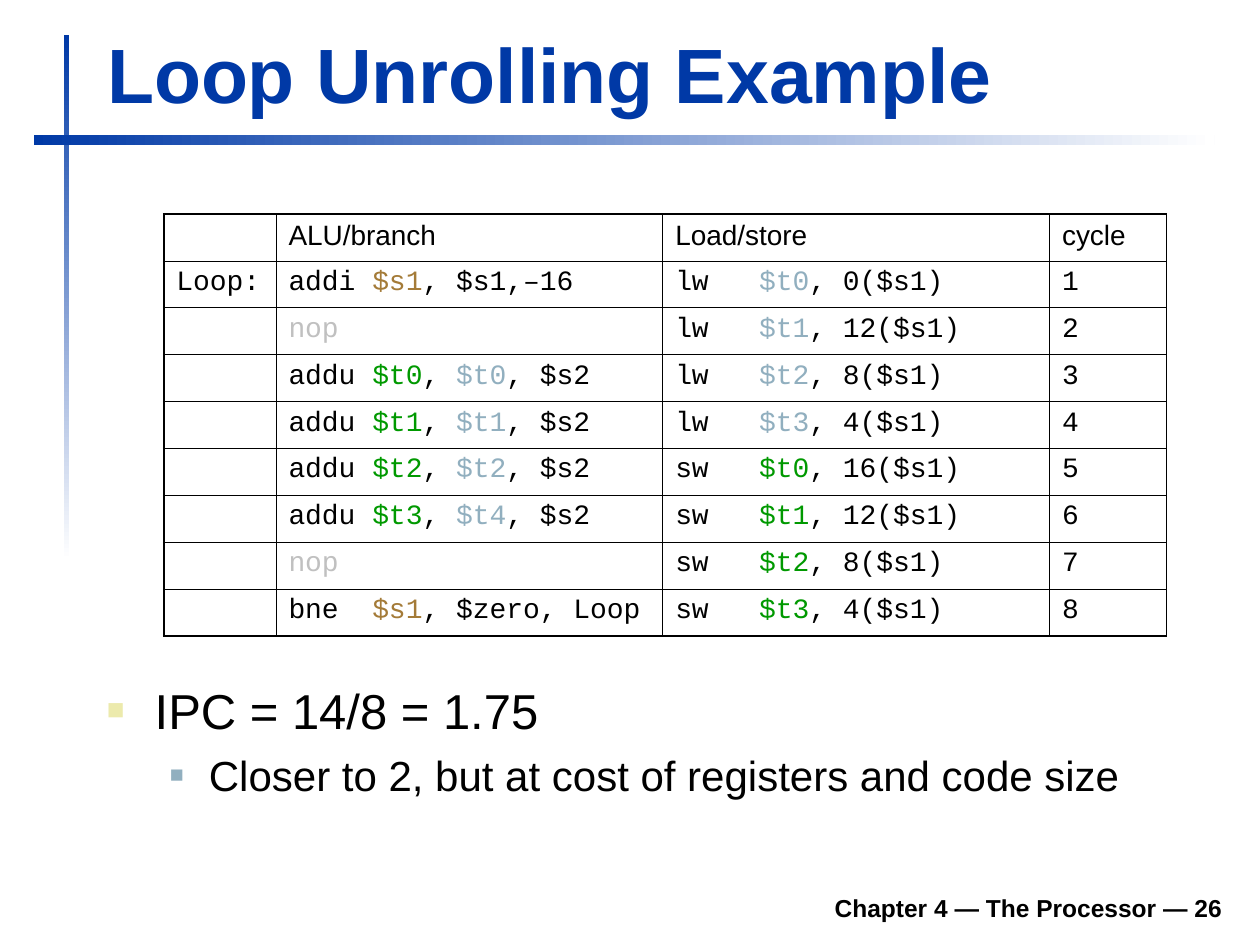
from lxml import etree
from pptx import Presentation
from pptx.dml.color import RGBColor
from pptx.enum.shapes import MSO_SHAPE
from pptx.enum.text import MSO_ANCHOR, MSO_AUTO_SIZE, PP_ALIGN
from pptx.oxml.ns import qn
from pptx.util import Inches, Pt

RECT = MSO_SHAPE.RECTANGLE
LEFT, RIGHT = PP_ALIGN.LEFT, PP_ALIGN.RIGHT
TOP, BASE = MSO_ANCHOR.TOP, MSO_ANCHOR.BOTTOM
FIXED = MSO_AUTO_SIZE.NONE

WIDE, HIGH = Inches(10), Inches(7.5)
SANS, MONO = "Arial", "Courier New"
INK, NAVY, WHITE = "000000", "0039A6", "FFFFFF"
TAN, BLUE, GREEN, GREY = "A47B38", "91AFBF", "009900", "C0C0C0"
CREAM = "ECEAAC"
COLS = [8.9, 30.7, 30.7, 9.3]
ROW = 4.93
OUTER, HEAD, INNER = 1.08, 0.75, 0.45


def tint(code):
    return RGBColor.from_string(code)


def area(left, top, width, height):
    return (int(WIDE * left / 100), int(HIGH * top / 100),
            int(WIDE * width / 100), int(HIGH * height / 100))


def write(par, text, size=16, font=SANS, color=INK, bold=False, align=LEFT):
    par.alignment = align
    runs = [(text, color)] if isinstance(text, str) else text
    for words, hue in runs:
        run = par.add_run()
        run.text = words
        run.font.size = Pt(size)
        run.font.name = font
        run.font.bold = bold
        run.font.color.rgb = tint(hue)


def setup(frame, anchor=TOP):
    frame.word_wrap = True
    frame.auto_size = FIXED
    frame.vertical_anchor = anchor
    return frame.paragraphs[0]


def panel(slide, *place):
    return slide.shapes.add_textbox(*area(*place)).text_frame


def fade(slide, angle, *place):
    bar = slide.shapes.add_shape(RECT, *area(*place))
    bar.shadow.inherit = False
    bar.line.fill.background()
    bar.fill.gradient()
    bar.fill.gradient_angle = angle
    for stop, hue in zip(bar.fill.gradient_stops, (NAVY, WHITE)):
        stop.color.rgb = tint(hue)


def bullet(par, color, share, left, hang):
    props = par._p.get_or_add_pPr()
    props.set("marL", str(Inches(left)))
    props.set("indent", str(-Inches(hang)))
    hue = etree.SubElement(props, qn("a:buClr"))
    etree.SubElement(hue, qn("a:srgbClr"), val=color)
    etree.SubElement(props, qn("a:buSzPct"), val=str(share * 1000))
    etree.SubElement(props, qn("a:buFont"), typeface=SANS)
    etree.SubElement(props, qn("a:buChar"), char="■")


def border(cell, sides):
    props = cell._tc.get_or_add_tcPr()
    for spot, (side, width) in enumerate(sides.items()):
        line = etree.Element(qn("a:ln" + side), w=str(Pt(width)))
        fill = etree.SubElement(line, qn("a:solidFill"))
        etree.SubElement(fill, qn("a:srgbClr"), val=INK)
        props.insert(spot, line)


def edges(row, col, last):
    return {
        "L": OUTER if col == 0 else INNER,
        "R": OUTER if col == len(COLS) - 1 else INNER,
        "T": {0: OUTER, 1: HEAD}.get(row, INNER),
        "B": {0: HEAD, last: OUTER}.get(row, INNER),
    }


def code(name, reg, hue, rest):
    return [(f"{name:<5}", INK), (reg, hue), (rest, INK)]


def load(reg, off):
    return code("lw", reg, BLUE, f", {off}($s1)")


def store(reg, off):
    return code("sw", reg, GREEN, f", {off}($s1)")


def add(dest, src):
    return code("addu", dest, GREEN, ", ") + [(src, BLUE), (", $s2", INK)]


def grid(slide, rows):
    place = area(13, 22.67, sum(COLS), ROW * len(rows))
    table = slide.shapes.add_table(len(rows), len(COLS), *place).table
    table.first_row = table.horz_banding = False
    for col, share in zip(table.columns, COLS):
        col.width = int(WIDE * share / 100)
    for r, row in enumerate(rows):
        table.rows[r].height = int(HIGH * ROW / 100)
        for c, text in enumerate(row):
            cell = table.cell(r, c)
            cell.fill.background()
            border(cell, edges(r, c, len(rows) - 1))
            par = cell.text_frame.paragraphs[0]
            if text:
                write(par, text, font=MONO if r else SANS)
            else:
                par._p.get_or_add_endParaRPr().set("sz", "1600")


def main():
    deck = Presentation()
    deck.slide_width, deck.slide_height = WIDE, HIGH
    slide = deck.slides.add_slide(deck.slide_layouts[5])

    fade(slide, 270, 5.1, 3.73, 0.4, 55.6)
    fade(slide, 0, 2.7, 14.27, 93.7, 1.07)

    title = slide.shapes.title
    title.left, title.top, title.width, title.height = area(
        7.5, 2.13, 90.3, 11.07)
    write(setup(title.text_frame, BASE), "Loop Unrolling Example",
          size=44, color=NAVY, bold=True)

    nop = [("nop", GREY)]
    alu = [
        code("addi", "$s1", TAN, ", $s1,–16"),
        nop,
        add("$t0", "$t0"),
        add("$t1", "$t1"),
        add("$t2", "$t2"),
        add("$t3", "$t4"),
        nop,
        code("bne", "$s1", TAN, ", $zero, Loop"),
    ]
    regs = ["$t0", "$t1", "$t2", "$t3"]
    memory = [load(reg, off) for reg, off in zip(regs, (0, 12, 8, 4))]
    memory += [store(reg, off) for reg, off in zip(regs, (16, 12, 8, 4))]
    rows = [["", "ALU/branch", "Load/store", "cycle"]]
    for num, (left, right) in enumerate(zip(alu, memory), 1):
        rows.append(["Loop:" if num == 1 else "", left, right, str(num)])
    grid(slide, rows)

    body = panel(slide, 7.5, 71.33, 90.4, 19.6)
    par = setup(body)
    bullet(par, CREAM, 60, 0.38, 0.38)
    write(par, "IPC = 14/8 = 1.75", size=28)
    par = body.add_paragraph()
    par.level = 1
    bullet(par, BLUE, 55, 0.81, 0.31)
    par.space_before = Pt(6)
    write(par, "Closer to 2, but at cost of registers and code size", size=24)

    foot = panel(slide, 18.5, 93.07, 79.5, 5.2)
    write(setup(foot, BASE), "Chapter 4 — The Processor — 26",
          size=14, bold=True, align=RIGHT)

    deck.save("out.pptx")


if __name__ == "__main__":
    main()
